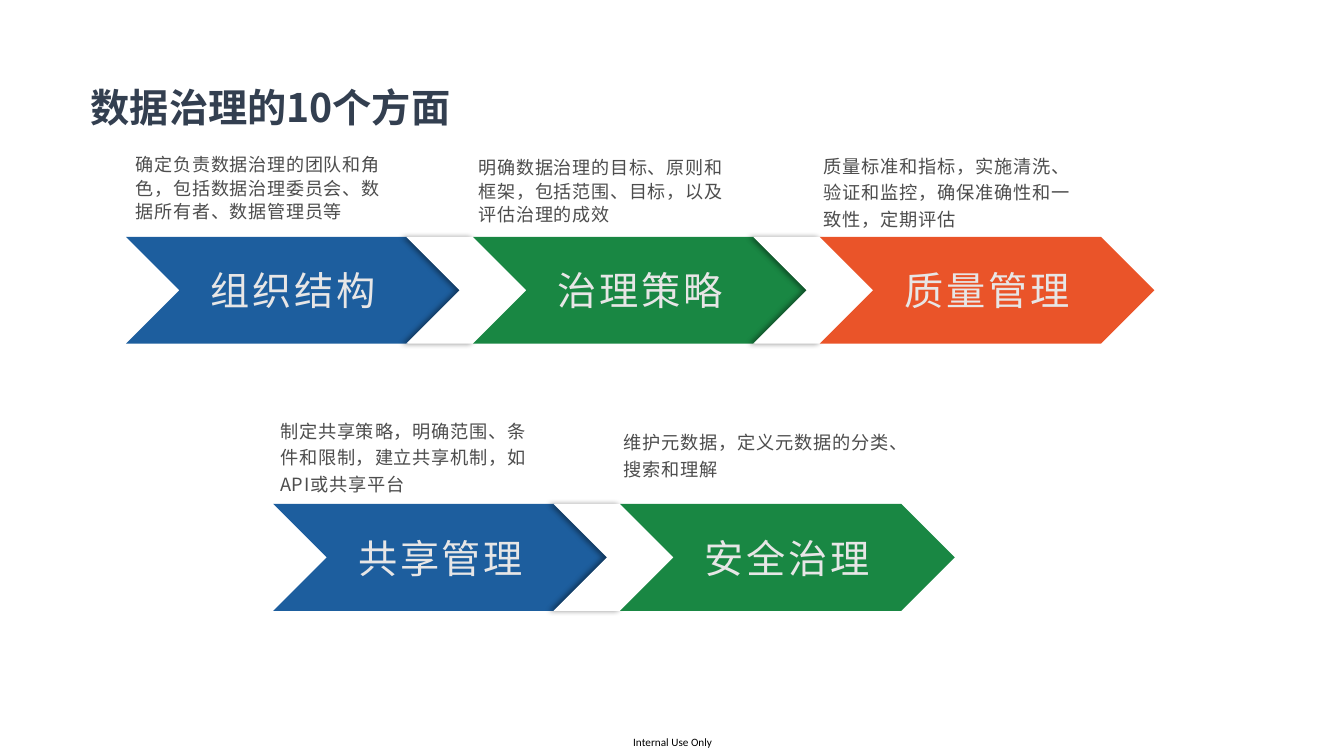
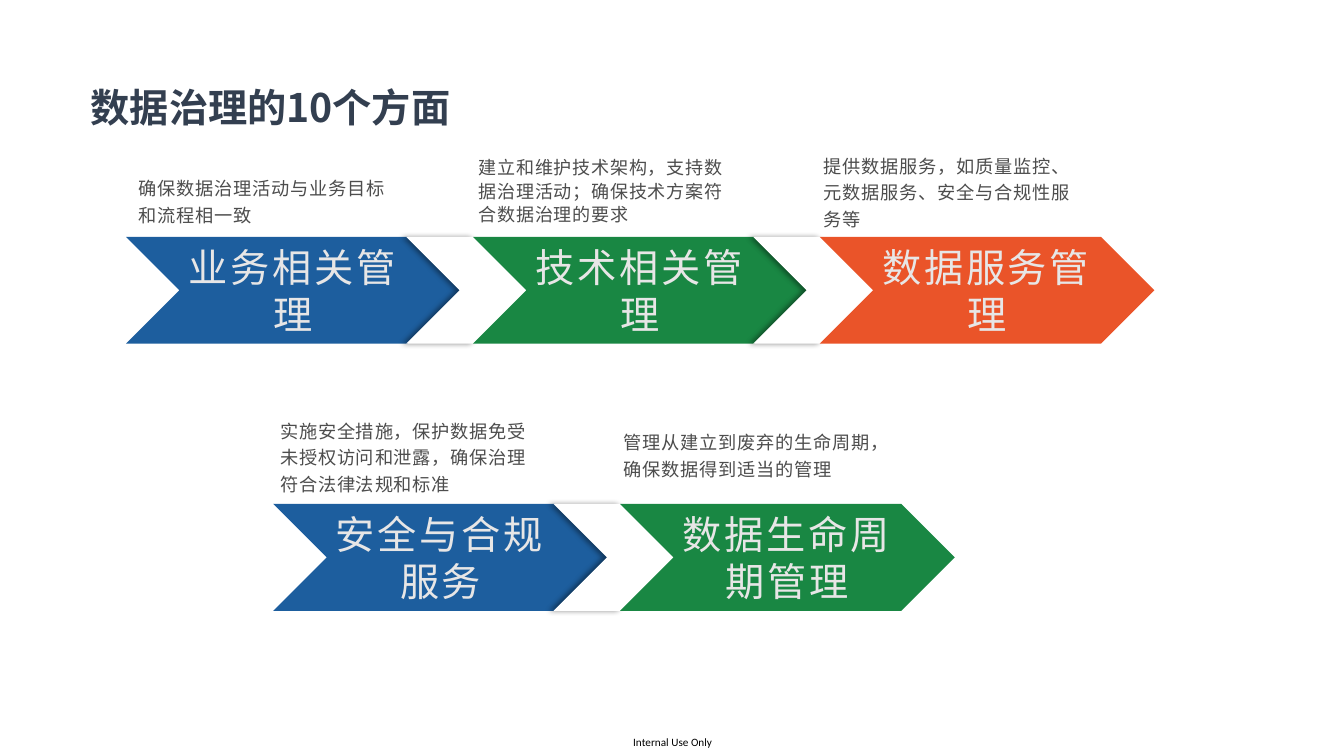
"""Build two slides of chevron rows on data governance."""
from lxml import etree
from pptx import Presentation
from pptx.dml.color import RGBColor
from pptx.enum import shapes, text
from pptx.oxml import ns
from pptx.util import Inches, Pt

FONT = "Noto Sans CJK SC"
NAVY = RGBColor(0x33, 0x3F, 0x50)
GRAY = RGBColor(0x4D, 0x4D, 0x4D)
PALE = RGBColor(0xE7, 0xE6, 0xE6)
BLACK = RGBColor(0, 0, 0)
WHITE = RGBColor(255, 255, 255)
BLUE = RGBColor(0x1D, 0x5E, 0x9E)
GREEN = RGBColor(0x19, 0x87, 0x43)
ORANGE = RGBColor(0xEA, 0x54, 0x29)
FILLS = (BLUE, GREEN, ORANGE)

TITLE = "数据治理的10个方面"
FOOTER = "Internal Use Only"
ROWS = ((1.25, 2.35), (2.71, 5))
STEP, GAP = 3.44, 2.78
WIDE, SLIM, TALL = 3.32, 1.2, 1.06
TIGHT, LOOSE = (12.9, 1.1), (13, 1.2)

TOPICS = (
    (
        (("组织结构", "确定负责数据治理的团队和角色，包括数据治理委员会、数据所有者、数据管理员等",
          (1.25, 1.45, 2.71, 0.87), TIGHT),
         ("治理策略", "明确数据治理的目标、原则和框架，包括范围、目标，以及评估治理的成效",
          (4.65, 1.48, 2.71, 0.87), TIGHT),
         ("质量管理", "质量标准和指标，实施清洗、验证和监控，确保准确性和一致性，定期评估",
          (8.07, 1.45, 2.71, 0.72), LOOSE)),
        (("共享管理", "制定共享策略，明确范围、条件和限制，建立共享机制，如API或共享平台",
          (2.68, 4.08, 2.71, 0.7), LOOSE),
         ("安全治理", "维护元数据，定义元数据的分类、搜索和理解",
          (6.09, 4.19, 2.94, 0.72), LOOSE)),
    ),
    (
        (("业务相关管理", "确保数据治理活动与业务目标和流程相一致",
          (1.28, 1.67, 2.71, 0.67), LOOSE),
         ("技术相关管理", "建立和维护技术架构，支持数据治理活动；确保技术方案符合数据治理的要求",
          (4.65, 1.48, 2.71, 0.87), TIGHT),
         ("数据服务管理", "提供数据服务，如质量监控、元数据服务、安全与合规性服务等",
          (8.07, 1.45, 2.71, 0.81), LOOSE)),
        (("安全与合规服务", "实施安全措施，保护数据免受未授权访问和泄露，确保治理符合法律法规和标准",
          (2.68, 4.08, 2.71, 0.7), LOOSE),
         ("数据生命周期管理", "管理从建立到废弃的生命周期，确保数据得到适当的管理",
          (6.09, 4.19, 2.94, 0.72), LOOSE)),
    ),
)


def write(frame, words, size, color, font=FONT, bold=False, track=0, inset=None):
    frame.text = words
    frame.word_wrap = True
    if inset is not None:
        frame.margin_left = frame.margin_right = Inches(inset)
        frame.margin_top = frame.margin_bottom = Inches(inset)
    para = frame.paragraphs[0]
    run = para.runs[0]
    run.font.name, run.font.size, run.font.bold = font, Pt(size), bold
    run.font.color.rgb = color
    if track:
        run._r.get_or_add_rPr().set("spc", str(round(track * 100)))
    return para


def add_box(slide, box):
    return slide.shapes.add_textbox(*map(Inches, box)).text_frame


def add_title(slide):
    frame = add_box(slide, (0.84, 0.75, 5.82, 0.63))
    write(frame, TITLE, 28, NAVY, bold=True, inset=0.06)
    frame.vertical_anchor = text.MSO_ANCHOR.MIDDLE


def add_footer(slide):
    frame = add_box(slide, (6.28, 7.3, 0.81, 0.13))
    write(frame, FOOTER, 8, BLACK, font="Calibri", inset=0)
    frame.word_wrap = False


def add_arrow(slide, left, top, width, fill):
    arrow = slide.shapes.add_shape(
        shapes.MSO_SHAPE.CHEVRON, *map(Inches, (left, top, width, TALL)))
    arrow.shadow.inherit = False
    arrow.fill.solid()
    arrow.fill.fore_color.rgb = fill
    arrow.line.fill.background()
    return arrow


def add_label(arrow, words):
    frame = arrow.text_frame
    para = write(frame, words, 28, PALE, track=2, inset=0)
    para.alignment = text.PP_ALIGN.CENTER
    frame.vertical_anchor = text.MSO_ANCHOR.MIDDLE


def add_shade(arrow):
    effects = arrow._element.spPr.find(ns.qn("a:effectLst"))
    shade = etree.SubElement(
        effects, ns.qn("a:outerShdw"), blurRad=str(Pt(4)), dist=str(Pt(3)),
        dir=str(180 * 60000), algn="r", rotWithShape="0")
    color = etree.SubElement(shade, ns.qn("a:srgbClr"), val=str(BLACK))
    etree.SubElement(color, ns.qn("a:alpha"), val="40000")


def add_note(slide, words, box, style):
    size, lead = style
    para = write(add_box(slide, box), words, size, GRAY, track=0.6)
    para.line_spacing = lead
    para.space_after = Pt(8)


def add_row(slide, items, left, top):
    for i, (label, note, box, style) in enumerate(items):
        x = left + i * STEP
        add_label(add_arrow(slide, x, top, WIDE, FILLS[i]), label)
        if i < len(items) - 1:
            add_shade(add_arrow(slide, x + GAP, top, SLIM, WHITE))
        add_note(slide, note, box, style)


def main():
    deck = Presentation()
    deck.slide_width, deck.slide_height = Inches(13.33), Inches(7.5)
    for rows in TOPICS:
        slide = deck.slides.add_slide(deck.slide_layouts[6])
        add_footer(slide)
        add_title(slide)
        for items, (left, top) in zip(rows, ROWS):
            add_row(slide, items, left, top)
    deck.save("out.pptx")


if __name__ == "__main__":
    main()
